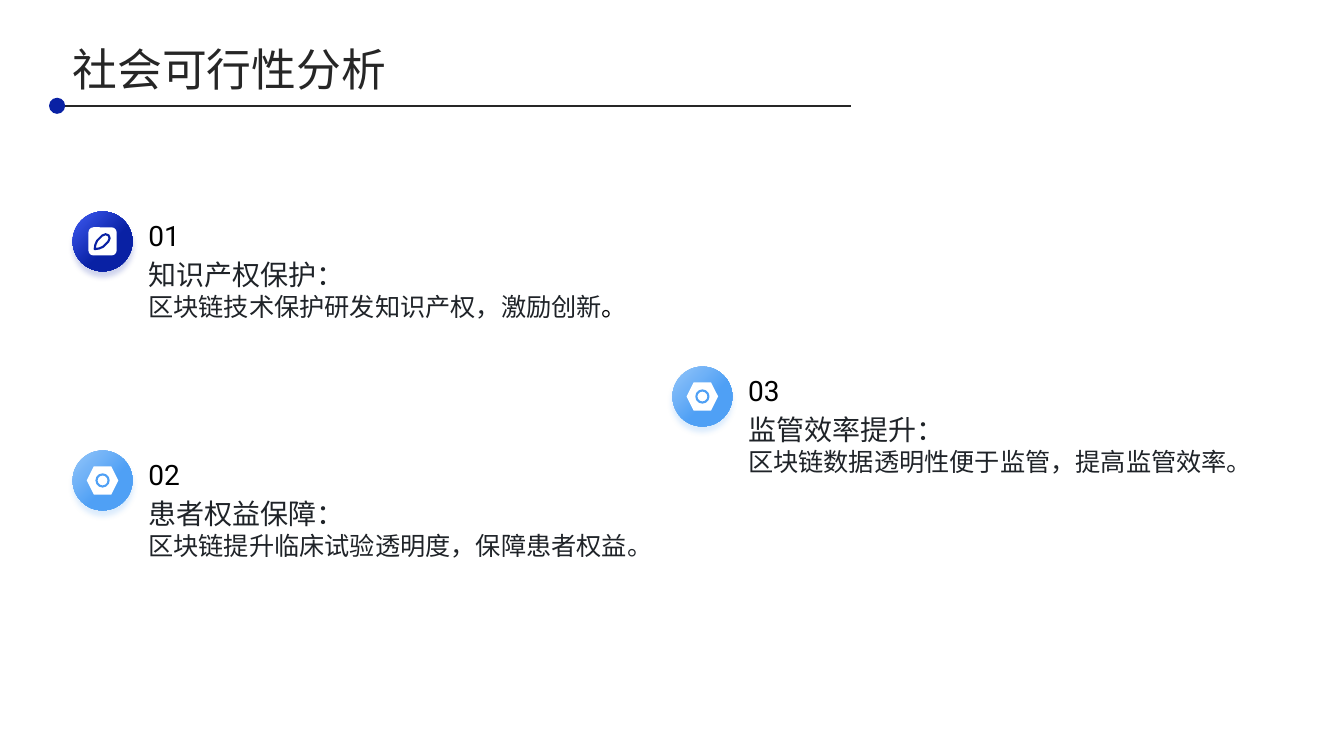
from lxml.etree import SubElement
from pptx import Presentation
from pptx.dml.color import RGBColor
from pptx.enum.shapes import MSO_CONNECTOR as LINK, MSO_SHAPE as KIND
from pptx.enum.text import MSO_ANCHOR as ANCHOR
from pptx.oxml.ns import qn
from pptx.util import Inches, Pt

NAVY = RGBColor(0x09, 0x21, 0xA4)
BLUE = RGBColor(0x3F, 0x5B, 0xF4)
SKY = RGBColor(0x4F, 0xA0, 0xF5)
PALE = RGBColor(0x95, 0xC6, 0xF9)
WHITE = RGBColor(0xFF, 0xFF, 0xFF)
BLACK = RGBColor(0, 0, 0)
INK = RGBColor(0x1F, 0x23, 0x28)
GREY = RGBColor(0x26, 0x26, 0x26)
SANS, CJK = "Roboto", "Noto Sans CJK SC"

# Grid of 100 columns by 100 rows
WIDE, HIGH = Inches(13.33), Inches(7.5)

# Half of the leaf outline, as column offsets from the icon centre
LEAF = [(-0.58, 0.58), (-0.53, 0.25), (-0.4, -0.05), (-0.02, -0.43),
        (0.23, -0.53), (0.45, -0.45)]

# Icon centre (column, row), icon kind, number, heading, body runs
ITEMS = [
    (7.63, 31.93, "leaf", "01", "知识产权保护：",
     [("区块链技术保护研发知识产权，激励创新", SANS, INK), ("。", CJK, BLACK)]),
    (7.63, 63.55, "nut", "02", "患者权益保障：",
     [("区块链提升临床试验透明度，保障患者权益。", SANS, INK)]),
    (52.26, 52.45, "nut", "03", "监管效率提升：",
     [("区块链数据透明性便于监管，提高监管效率。", SANS, INK)]),
]


def col(n):
    return round(WIDE * n / 100)


def row(n):
    return round(HIGH * n / 100)


def add_run(para, text, size, face, color, east=SANS):
    run = para.add_run()
    run.text = text
    font = run.font
    font.size, font.name = Pt(size), face
    font.color.rgb = color
    SubElement(run._r.get_or_add_rPr(), qn("a:ea"), typeface=east)


def add_box(slide, x, y, w, h, anchor):
    box = slide.shapes.add_textbox(col(x), row(y), col(w), row(h))
    frame = box.text_frame
    frame.word_wrap = True
    frame.vertical_anchor = anchor
    frame.margin_left = frame.margin_right = 0
    frame.margin_top = frame.margin_bottom = 0
    return frame


def add_form(slide, kind, x, y, w, h, color=WHITE):
    """Place a shape by its centre; both sides are given in columns."""
    form = slide.shapes.add_shape(
        kind, col(x) - col(w) // 2, row(y) - col(h) // 2, col(w), col(h))
    form.shadow.inherit = False
    form.fill.solid()
    form.fill.fore_color.rgb = color
    form.line.fill.background()
    return form


def set_line(form, color):
    form.fill.background()
    form.line.color.rgb = color
    form.line.width = Pt(1.5)


def add_disc(slide, x, y, light, dark):
    disc = add_form(slide, KIND.OVAL, x, y, 4.45, 4.45)
    fill = disc.fill
    fill.gradient()
    fill.gradient_angle = 315
    for stop, color, place in zip(fill.gradient_stops, (light, dark), (0, 0.6)):
        stop.color.rgb = color
        stop.position = place
    # Soft shadow straight below
    glow = SubElement(disc._element.spPr.find(qn("a:effectLst")),
                      qn("a:outerShdw"), blurRad=str(Pt(4)), dist=str(Pt(4)),
                      dir="5400000", algn="t", rotWithShape="0")
    tint = SubElement(glow, qn("a:srgbClr"), val=str(dark))
    SubElement(tint, qn("a:alpha"), val="20000")


def add_leaf(slide, x, y):
    add_disc(slide, x, y, BLUE, NAVY)
    tile = add_form(slide, KIND.ROUNDED_RECTANGLE, x, y, 2.1, 2.1)
    tile.adjustments[0] = 0.18
    # The second half mirrors the first across the diagonal
    half = [(-b, -a) for a, b in reversed(LEAF[1:])]
    spots = [(col(x + a), row(y) + col(b)) for a, b in LEAF + half]
    pen = slide.shapes.build_freeform(*spots[0])
    pen.add_line_segments(spots[1:], close=True)
    leaf = pen.convert_to_shape()
    leaf.shadow.inherit = False
    set_line(leaf, NAVY)


def add_nut(slide, x, y):
    add_disc(slide, x, y, PALE, SKY)
    add_form(slide, KIND.HEXAGON, x, y, 2.35, 2.1)
    ring = add_form(slide, KIND.OVAL, x, y, 0.9, 0.9)
    set_line(ring, SKY)


def add_item(slide, x, y, icon, num, head, body):
    draw = add_leaf if icon == "leaf" else add_nut
    draw(slide, x, y)
    left, wide = x + 3.4, 38.25
    top = add_box(slide, left, y - 9.8, wide, 11.2, ANCHOR.BOTTOM)
    add_run(top.paragraphs[0], num, 20, SANS, BLACK)
    text = add_box(slide, left, y + 2.1, wide, 18, ANCHOR.TOP)
    add_run(text.paragraphs[0], head, 20, SANS, INK)
    para = text.add_paragraph()
    for part, face, color in body:
        add_run(para, part, 18, face, color)


def add_title(slide, text):
    frame = add_box(slide, 5.4, 5.73, 89.1, 6.8, ANCHOR.MIDDLE)
    add_run(frame.paragraphs[0], text, 32, CJK, GREY, CJK)
    # Rule with a dot at its start
    rule = slide.shapes.add_connector(
        LINK.STRAIGHT, col(4.25), row(14), col(63.3), row(14))
    rule.line.color.rgb = GREY
    rule.line.width = Pt(1)
    SubElement(rule._element.spPr, qn("a:effectLst"))
    add_form(slide, KIND.OVAL, 4.25, 14, 1.2, 1.2, NAVY)


def main():
    deck = Presentation()
    deck.slide_width, deck.slide_height = WIDE, HIGH
    slide = deck.slides.add_slide(deck.slide_layouts[6])
    add_title(slide, "社会可行性分析")
    for item in ITEMS:
        add_item(slide, *item)
    deck.save("out.pptx")


if __name__ == "__main__":
    main()
